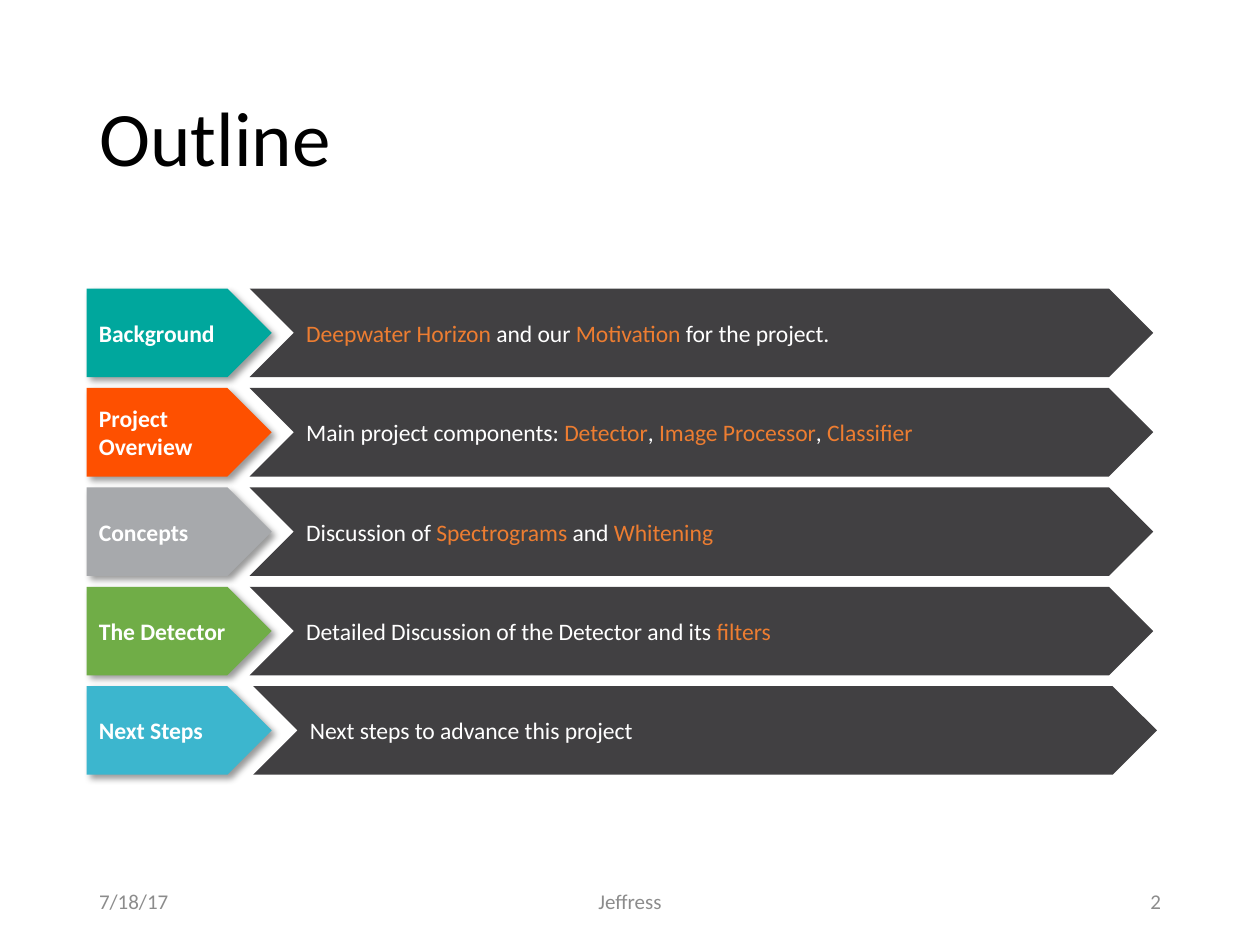
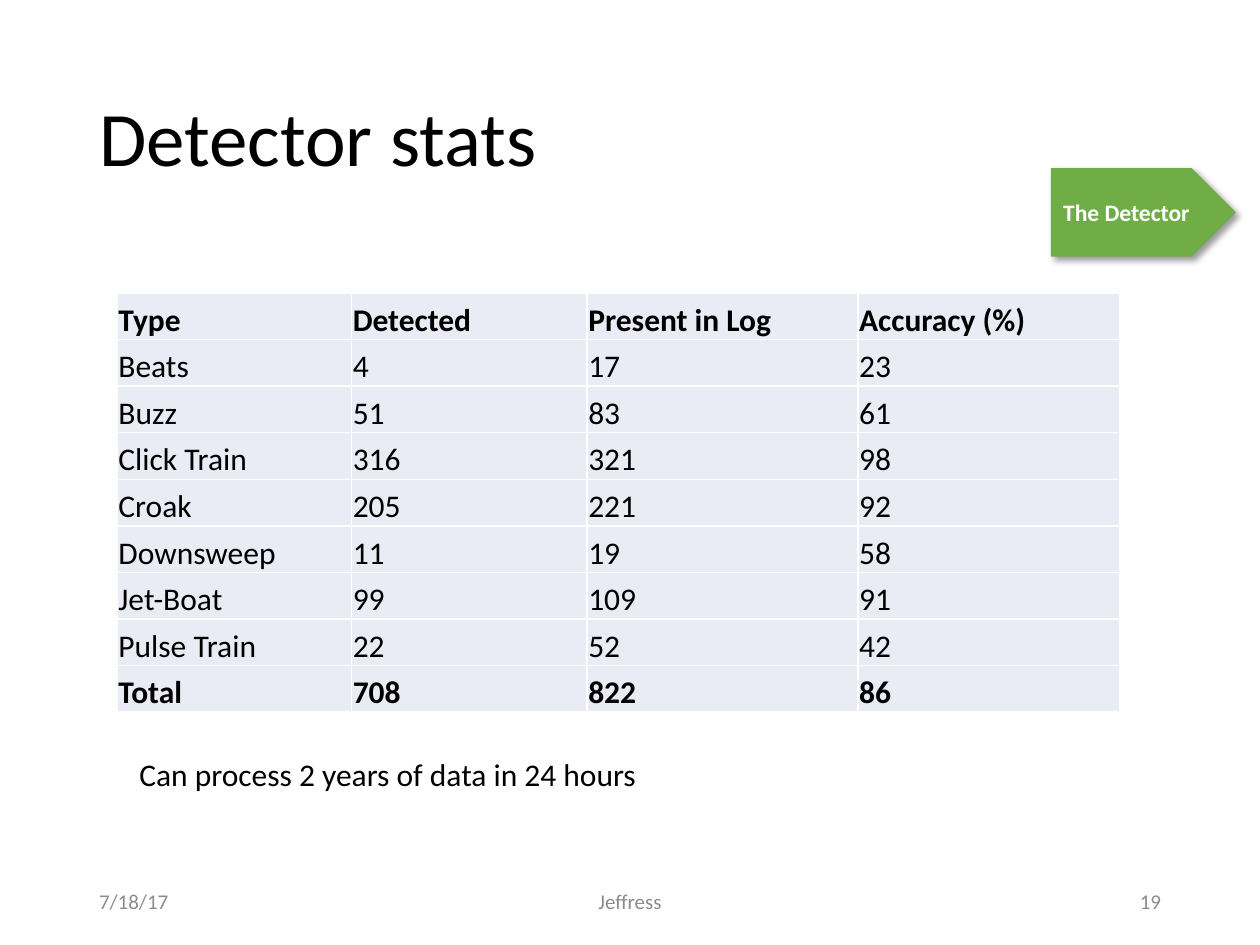
from dataclasses import dataclass
from lxml import etree
from pptx import Presentation
from pptx.dml.color import RGBColor
from pptx.enum import shapes, text
from pptx.oxml import ns
from pptx.util import Pt


@dataclass(frozen=True)
class Theme:
    font: str = "Calibri"
    black: str = "000000"
    white: str = "FFFFFF"
    grey: str = "8C8C8C"
    dark: str = "414042"
    accent: str = "ED7D31"
    teal: str = "00A79D"
    red: str = "FE5000"
    silver: str = "A7A9AC"
    green: str = "70AD47"
    blue: str = "3CB6CE"
    cell: str = "E9EBF5"
    head: float = 44
    body: float = 18
    label: float = 13.5
    foot: float = 12


T = Theme()
LEFT, MID = text.PP_ALIGN.LEFT, text.MSO_ANCHOR.MIDDLE
MARGIN = 49.5
TAG_W, BAR_H = 105.8, 50.6

# Outline rows: tag, tag colour, bar left, runs (text, highlighted)
TOPICS = [
    ("Background", T.teal, 142.6,
     [("Deepwater Horizon ", True), ("and our ", False),
      ("Motivation", True), (" for the project.", False)]),
    ("Project Overview", T.red, 142.6,
     [("Main project components: ", False), ("Detector", True), (", ", False),
      ("Image Processor", True), (", ", False), ("Classifier", True)]),
    ("Concepts", T.silver, 142.6,
     [("Discussion of ", False), ("Spectrograms", True),
      (" and ", False), ("Whitening", True)]),
    ("The Detector", T.green, 142.6,
     [("Detailed Discussion of the Detector and its ", False),
      ("filters", True)]),
    ("Next Steps", T.blue, 144.7,
     [("Next steps to advance this project", False)]),
]

STATS = [
    ("Type", "Detected", "Present in Log", "Accuracy (%)"),
    ("Beats", "4", "17", "23"),
    ("Buzz", "51", "83", "61"),
    ("Click Train", "316", "321", "98"),
    ("Croak", "205", "221", "92"),
    ("Downsweep", "11", "19", "58"),
    ("Jet-Boat", "99", "109", "91"),
    ("Pulse Train", "22", "52", "42"),
    ("Total", "708", "822", "86"),
]
STAT_COLS = [133.9, 134.6, 154.8, 149.8]


def apply(obj, form):
    for name, value in form.items():
        setattr(obj, name, value)


def write(frame, runs, size, align=LEFT, bold=False):
    """Fill the first paragraph with (text, colour) runs."""
    para = frame.paragraphs[0]
    para.alignment = align
    for words, color in runs:
        run = para.add_run()
        run.text = words
        apply(run.font, {"name": T.font, "size": Pt(size), "bold": bold})
        run.font.color.rgb = RGBColor.from_string(color)
    return para


def add_box(slide, box, words, size, color, align=LEFT,
            anchor=text.MSO_ANCHOR.TOP):
    frame = slide.shapes.add_textbox(*map(Pt, box)).text_frame
    apply(frame, {"word_wrap": True, "vertical_anchor": anchor})
    write(frame, [(words, color)], size, align)


def add_arrow(slide, kind, box, fill, runs, bold=False):
    shape = slide.shapes.add_shape(kind, *map(Pt, box))
    shape.shadow.inherit = False
    shape.fill.solid()
    shape.fill.fore_color.rgb = RGBColor.from_string(fill)
    shape.line.fill.background()
    apply(shape.text_frame, {"word_wrap": True, "vertical_anchor": MID})
    write(shape.text_frame, runs, T.label, bold=bold)
    return shape


def add_tag(slide, left, top, words, fill):
    """Pentagon label with a soft shadow to the lower right."""
    tag = add_arrow(slide, shapes.MSO_SHAPE.PENTAGON,
                    (left, top, TAG_W, BAR_H), fill,
                    [(words, T.white)], bold=True)
    effects = tag._element.spPr.find(ns.qn("a:effectLst"))
    shade = etree.SubElement(
        effects, ns.qn("a:outerShdw"), blurRad=str(Pt(4)), dist=str(Pt(3)),
        dir="2700000", algn="tl", rotWithShape="0")
    color = etree.SubElement(shade, ns.qn("a:srgbClr"), val=T.black)
    etree.SubElement(color, ns.qn("a:alpha"), val="40000")


def add_edges(cell):
    """White one-point lines on all four sides of a cell."""
    props = cell._tc.get_or_add_tcPr()
    for side in ("lnL", "lnR", "lnT", "lnB"):
        line = etree.SubElement(props, ns.qn("a:" + side), w=str(Pt(1)))
        fill = etree.SubElement(line, ns.qn("a:solidFill"))
        etree.SubElement(fill, ns.qn("a:srgbClr"), val=T.white)


def add_grid(slide, left, top, cols, row_h, rows):
    table = slide.shapes.add_table(
        len(rows), len(cols), Pt(left), Pt(top),
        Pt(sum(cols)), Pt(row_h * len(rows))).table
    apply(table, {"first_row": False, "horz_banding": False})
    for col, width in zip(table.columns, cols):
        col.width = Pt(width)
    for r, values in enumerate(rows):
        table.rows[r].height = Pt(row_h)
        for c, value in enumerate(values):
            cell = table.cell(r, c)
            apply(cell, {"margin_left": Pt(0.7), "margin_right": Pt(0.7),
                         "margin_top": Pt(0.7), "margin_bottom": 0,
                         "vertical_anchor": text.MSO_ANCHOR.BOTTOM})
            add_edges(cell)
            cell.fill.solid()
            cell.fill.fore_color.rgb = RGBColor.from_string(T.cell)
            write(cell.text_frame, [(value, T.black)], T.body,
                  bold=r in (0, len(rows) - 1))


def add_slide(deck, title, number):
    """Slide with the shared title and footer."""
    slide = deck.slides.add_slide(deck.slide_layouts[5])
    head = slide.shapes.title
    apply(head, {"left": Pt(MARGIN), "top": Pt(28.8),
                 "width": Pt(621), "height": Pt(104.4)})
    head.text_frame.vertical_anchor = MID
    write(head.text_frame, [(title, T.black)], T.head).line_spacing = 0.9

    for left, width, words, align in (
            (MARGIN, 162, "7/18/17", LEFT),
            (238.5, 243, "Jeffress", text.PP_ALIGN.CENTER),
            (508.5, 162, number, text.PP_ALIGN.RIGHT)):
        add_box(slide, (left, 500.5, width, 28.8), words, T.foot, T.grey,
                align, MID)
    return slide


def add_outline(deck):
    slide = add_slide(deck, "Outline", "2")
    for i, (name, fill, left, runs) in enumerate(TOPICS):
        top = 164.9 + i * 56.8
        add_arrow(slide, shapes.MSO_SHAPE.CHEVRON, (left, top, 516.4, BAR_H),
                  T.dark, [(words, T.accent if hot else T.white)
                           for words, hot in runs])
        add_tag(slide, MARGIN, top, name, fill)


def add_stats(deck):
    slide = add_slide(deck, "Detector stats", "19")
    add_tag(slide, 600.5, 96, "The Detector", T.green)
    add_grid(slide, 67, 167.4, STAT_COLS, 26.64, STATS)
    add_box(slide, (72.5, 427.7, 476.6, 29), "Can process 2 years of data in 24 hours",
            T.body, T.black)


def main():
    deck = Presentation()
    apply(deck, {"slide_width": Pt(720), "slide_height": Pt(540)})
    add_outline(deck)
    add_stats(deck)
    deck.save("out.pptx")


if __name__ == "__main__":
    main()
